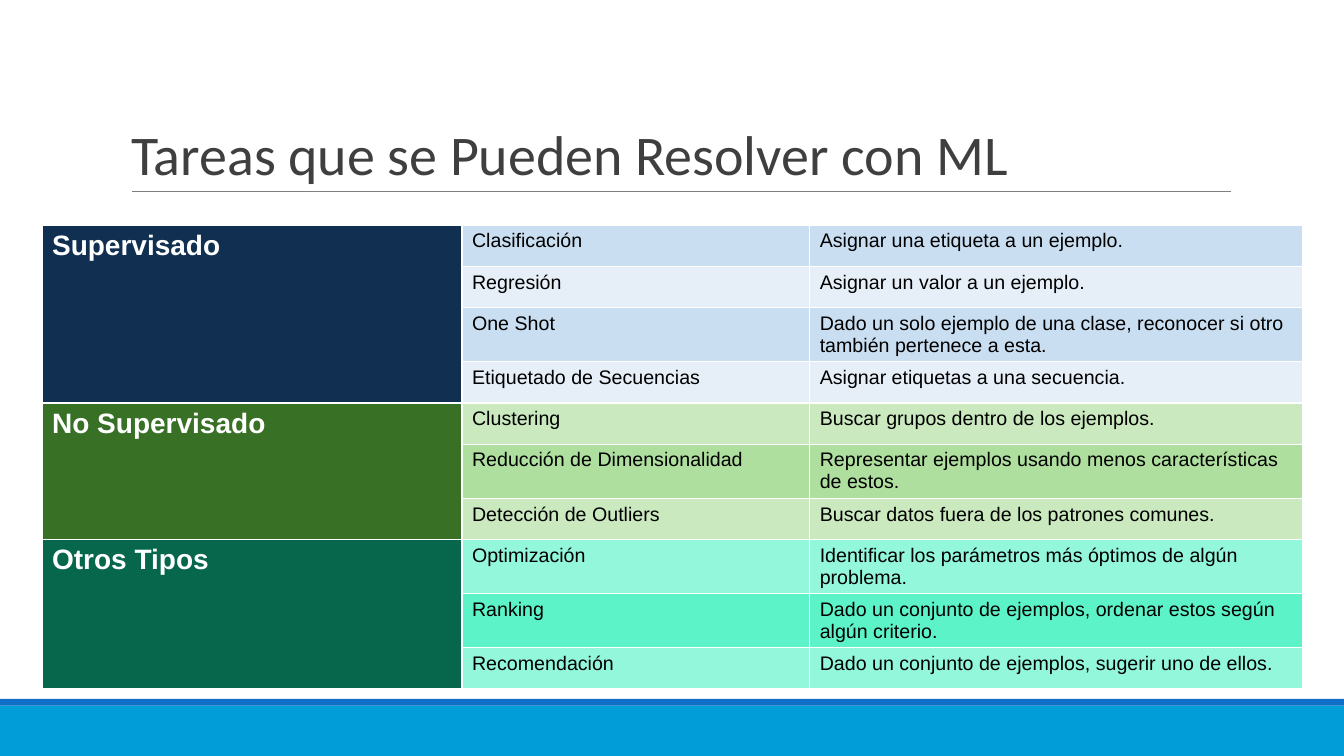
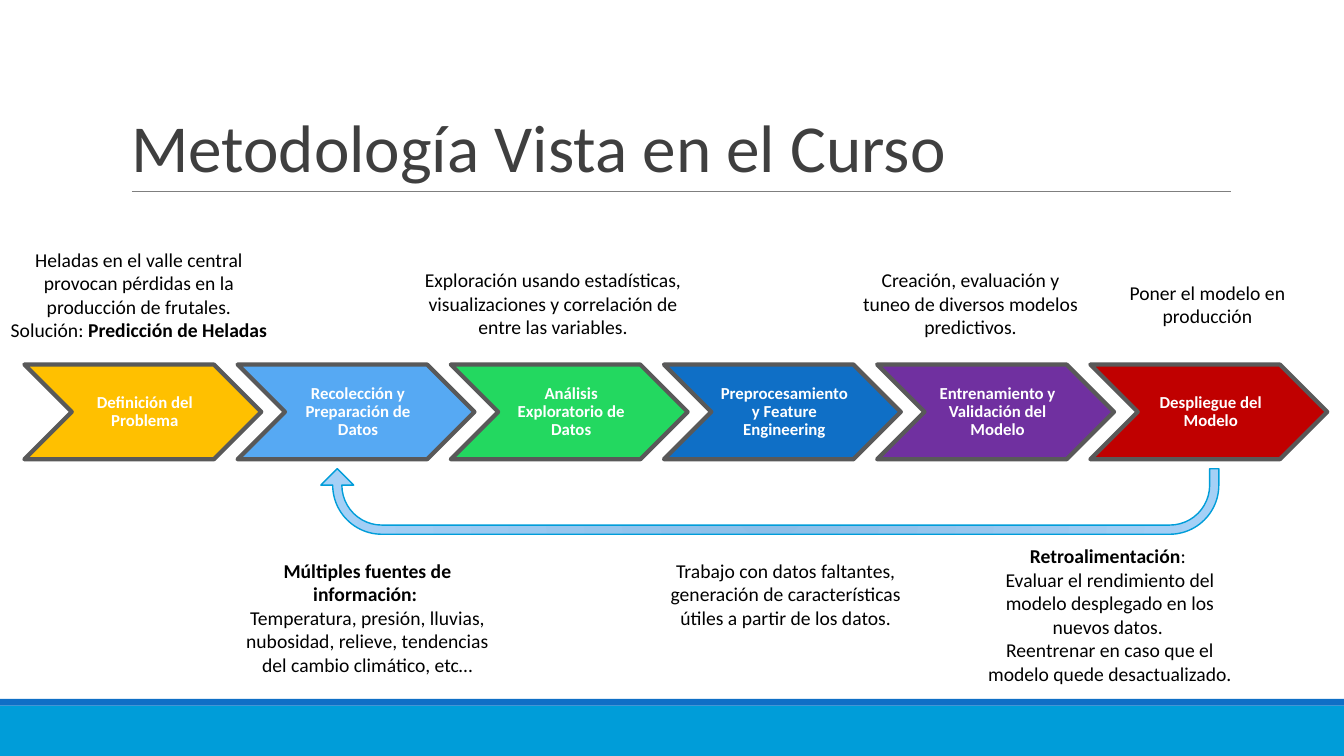
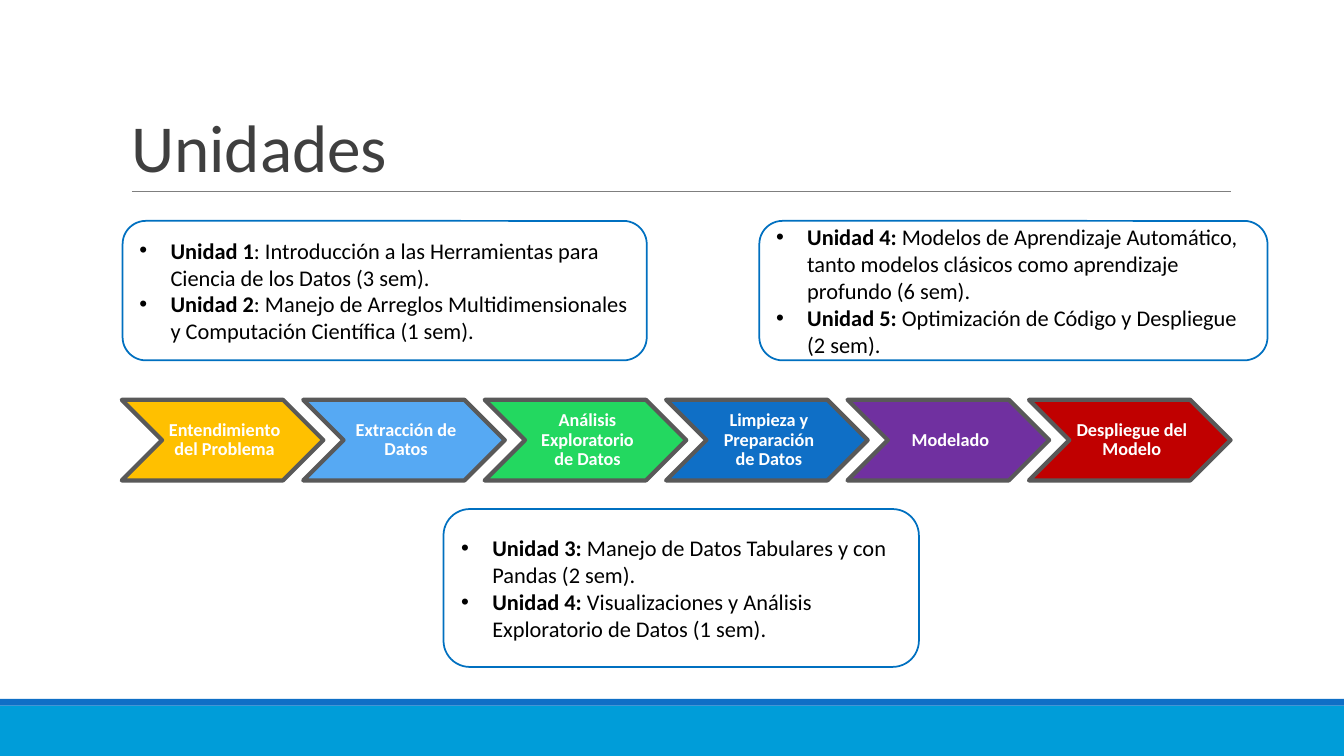
import pptx
import pptx.dml.color
import pptx.enum.shapes
import pptx.enum.text
import pptx.oxml.ns
import pptx.util
from lxml import etree

SHAPES = pptx.enum.shapes.MSO_SHAPE
ANCHOR = pptx.enum.text.MSO_ANCHOR
ALIGN = pptx.enum.text.PP_ALIGN
qn = pptx.oxml.ns.qn

SLIDE_WIDTH = pptx.util.Inches(13.333)
SLIDE_HEIGHT = pptx.util.Inches(7.5)
COLUMNS, ROWS = 16, 9

BLACK, WHITE = "000000", "FFFFFF"
SKY, BLUE = "009DD9", "0F6FC6"
TITLE_GREY, RULE_GREY, OUTLINE_GREY = "3F3F3F", "7F7F7F", "595959"
FRAME_BLUE = "0070C0"
STEP_COLORS = ["FFC000", "56A9F3", "23D860", BLUE, "7030A0", "C00000"]
CHEVRON_STEP, CHEVRON_RATIO = 0.9, 0.4

TASKS = [
    ("Supervisado", "113051", ["CADEF1", "E6EFF8"], [
        ("Clasificación", "Asignar una etiqueta a un ejemplo."),
        ("Regresión", "Asignar un valor a un ejemplo."),
        ("One Shot", "Dado un solo ejemplo de una clase, reconocer si otro también pertenece a esta."),
        ("Etiquetado de Secuencias", "Asignar etiquetas a una secuencia."),
    ]),
    ("No Supervisado", "387025", ["CAE9BF", "AFDF9F"], [
        ("Clustering", "Buscar grupos dentro de los ejemplos."),
        ("Reducción de Dimensionalidad", "Representar ejemplos usando menos características de estos."),
        ("Detección de Outliers", "Buscar datos fuera de los patrones comunes."),
    ]),
    ("Otros Tipos", "07674D", ["92F7DB", "5DF3C9"], [
        ("Optimización", "Identificar los parámetros más óptimos de algún problema."),
        ("Ranking", "Dado un conjunto de ejemplos, ordenar estos según algún criterio."),
        ("Recomendación", "Dado un conjunto de ejemplos, sugerir uno de ellos."),
    ]),
]

METHOD_STEPS = [
    "Definición del Problema",
    "Recolección y Preparación de Datos",
    "Análisis Exploratorio de Datos",
    "Preprocesamiento y Feature Engineering",
    "Entrenamiento y Validación del Modelo",
    "Despliegue del Modelo",
]

METHOD_NOTES = [
    ((0, 2.89, 3.31, 1.25), [
        [("Heladas en el valle central provocan pérdidas en la producción de frutales.", False)],
        [("Solución: ", False), ("Predicción de Heladas", True)]]),
    ((2.72, 6.59, 3.31, 1.54), [
        [("Múltiples fuentes de información: ", True)],
        [("Temperatura, presión, lluvias, nubosidad, relieve, tendencias del cambio climático, etc…", False)]]),
    ((4.93, 3.13, 3.31, 0.97), [
        [("Exploración usando estadísticas, visualizaciones y correlación de entre las variables.", False)]]),
    ((7.7, 6.59, 3.31, 0.97), [
        [("Trabajo con datos faltantes, generación de características útiles a partir de los datos.", False)]]),
    ((13.03, 3.28, 2.69, 0.68), [[("Poner el modelo en producción", False)]]),
    ((10.08, 3.13, 2.95, 0.97), [
        [("Creación, evaluación y tuneo de diversos modelos predictivos.", False)]]),
    ((11.56, 6.42, 3.31, 1.82), [
        [("Retroalimentación", True), (": ", False)],
        [("Evaluar el rendimiento del modelo desplegado en los nuevos datos. ", False)],
        [("Reentrenar en caso que el modelo quede desactualizado.", False)]]),
]

UNIT_STEPS = [
    "Entendimiento del Problema",
    "Extracción de Datos",
    "Análisis Exploratorio de Datos",
    "Limpieza y Preparación de Datos",
    "Modelado",
    "Despliegue del Modelo",
]

UNIT_CARDS = [
    ((9.04, 2.63, 6.05, 1.66), [
        [("Unidad 4: ", True),
         ("Modelos de Aprendizaje Automático, tanto modelos clásicos como aprendizaje profundo (6 sem).", False)],
        [("Unidad 5:", True), (" Optimización de Código y Despliegue (2 sem).", False)]]),
    ((5.28, 6.06, 5.66, 1.88), [
        [("Unidad 3:", True), (" Manejo de Datos Tabulares y con Pandas (2 sem).", False)],
        [("Unidad 4:", True), (" Visualizaciones y Análisis Exploratorio de Datos (1 sem).", False)]]),
    ((1.46, 2.63, 6.24, 1.66), [
        [("Unidad 1", True),
         (": Introducción a las Herramientas para Ciencia de los Datos (3 sem).", False)],
        [("Unidad 2", True),
         (": Manejo de Arreglos Multidimensionales y Computación Científica (1 sem).", False)]]),
]


def color(value):
    return pptx.dml.color.RGBColor.from_string(value)


def across(columns):
    return round(SLIDE_WIDTH * columns / COLUMNS)


def down(rows):
    return round(SLIDE_HEIGHT * rows / ROWS)


def place(box):
    left, top, width, height = box
    return across(left), down(top), across(width), down(height)


def style_font(font, size, text_color, bold=False, name="Calibri"):
    font.name = name
    font.size = pptx.util.Pt(size)
    font.bold = bold
    font.color.rgb = color(text_color)


def add_shape(slide, kind, box, fill=None, line=None, line_width=1):
    shape = slide.shapes.add_shape(kind, *place(box))
    shape.shadow.inherit = False
    if fill:
        shape.fill.solid()
        shape.fill.fore_color.rgb = color(fill)
    else:
        shape.fill.background()
    if line:
        shape.line.color.rgb = color(line)
        shape.line.width = pptx.util.Pt(line_width)
    else:
        shape.line.fill.background()
    return shape


def add_bullet(paragraph):
    properties = paragraph._p.get_or_add_pPr()
    indent = pptx.util.Inches(0.31)
    properties.set("marL", str(indent))
    properties.set("indent", str(-indent))
    bullet_color = etree.SubElement(properties, qn("a:buClr"))
    etree.SubElement(bullet_color, qn("a:srgbClr"), val=BLACK)
    etree.SubElement(properties, qn("a:buFont"), typeface="Arial")
    etree.SubElement(properties, qn("a:buChar"), char="•")


def write_paragraphs(text_frame, paragraphs, size, alignment, bulleted=False):
    text_frame.word_wrap = True
    for index, pieces in enumerate(paragraphs):
        paragraph = text_frame.add_paragraph() if index else text_frame.paragraphs[0]
        if bulleted:
            add_bullet(paragraph)
        paragraph.alignment = alignment
        for text, bold in pieces:
            run = paragraph.add_run()
            run.text = text
            style_font(run.font, size, BLACK, bold)


def add_titled_slide(presentation, title, size=48):
    slide = presentation.slides.add_slide(presentation.slide_layouts[5])
    add_shape(slide, SHAPES.RECTANGLE, (0, 8.4, COLUMNS, 0.6), SKY)
    add_shape(slide, SHAPES.RECTANGLE, (0, 8.32, COLUMNS, 0.08), BLUE)
    rule = slide.shapes.add_connector(
        pptx.enum.shapes.MSO_CONNECTOR.STRAIGHT,
        across(1.57), down(2.28), across(14.65), down(2.28))
    rule.line.color.rgb = color(RULE_GREY)
    rule.line.width = pptx.util.Pt(0.75)
    etree.SubElement(rule.element.spPr, qn("a:effectLst"))
    shape = slide.shapes.title
    shape.left, shape.top, shape.width, shape.height = place((1.44, 0.37, 13.2, 1.91))
    text_frame = shape.text_frame
    text_frame.text = title
    text_frame.word_wrap = True
    text_frame.auto_size = pptx.enum.text.MSO_AUTO_SIZE.NONE
    text_frame.vertical_anchor = ANCHOR.BOTTOM
    paragraph = text_frame.paragraphs[0]
    paragraph.alignment = ALIGN.LEFT
    paragraph.line_spacing = 0.85
    style_font(paragraph.runs[0].font, size, TITLE_GREY)
    return slide


def fill_cell(cell, text, fill, size=14, text_color=BLACK, bold=False):
    cell.fill.solid()
    cell.fill.fore_color.rgb = color(fill)
    cell.text = text
    style_font(cell.text_frame.paragraphs[0].runs[0].font, size, text_color, bold, "Arial")


def add_task_table(slide):
    widths, row_height = [5, 4.14, 5.87], 0.49
    row_count = sum(len(tasks) for _, _, _, tasks in TASKS)
    box = (0.5, 2.68, sum(widths), row_height * row_count)
    table = slide.shapes.add_table(row_count, len(widths), *place(box)).table
    table.first_row = False
    table.horz_banding = False
    for column, width in zip(table.columns, widths):
        column.width = across(width)
    row = 0
    for group, group_fill, fills, tasks in TASKS:
        heading = table.cell(row, 0)
        heading.merge(table.cell(row + len(tasks) - 1, 0))
        fill_cell(heading, group, group_fill, 20, WHITE, True)
        for index, texts in enumerate(tasks):
            for column, text in enumerate(texts, 1):
                fill_cell(table.cell(row, column), text, fills[index % 2])
            row += 1


def add_chevrons(slide, steps, left, top, width, size):
    for index, (text, fill) in enumerate(zip(steps, STEP_COLORS)):
        box = (left + index * width * CHEVRON_STEP, top, width, width * CHEVRON_RATIO)
        chevron = add_shape(slide, SHAPES.CHEVRON, box, fill, OUTLINE_GREY, 3)
        text_frame = chevron.text_frame
        text_frame.text = text
        text_frame.word_wrap = True
        text_frame.vertical_anchor = ANCHOR.MIDDLE
        text_frame.margin_left = pptx.util.Inches(0.06)
        text_frame.margin_top = text_frame.margin_right = text_frame.margin_bottom = pptx.util.Inches(0.02)
        paragraph = text_frame.paragraphs[0]
        paragraph.alignment = ALIGN.CENTER
        paragraph.line_spacing = 0.9
        style_font(paragraph.runs[0].font, size, WHITE, True)


def add_feedback_arrow(slide):
    arrow = add_shape(slide, SHAPES.U_TURN_ARROW, (3.82, 5.58, 10.69, 0.78), line=SKY)
    arrow.rotation = 180
    for index, value in enumerate([0.14, 0.25, 0.25, 0.75, 1]):
        arrow.adjustments[index] = value
    arrow.fill.gradient()
    for stop, value in zip(arrow.fill.gradient_stops, ["8DBEE8", "A5D0F6"]):
        stop.color.rgb = color(value)
    gradient = arrow.element.spPr.find(qn("a:gradFill"))
    gradient.remove(gradient.find(qn("a:lin")))
    circle = etree.SubElement(gradient, qn("a:path"), path="circle")
    etree.SubElement(circle, qn("a:fillToRect"), l="50000", t="50000", r="50000", b="50000")


def add_note(slide, box, paragraphs):
    note = slide.shapes.add_textbox(*place(box))
    write_paragraphs(note.text_frame, paragraphs, 14, ALIGN.CENTER)


def add_unit_card(slide, box, paragraphs):
    card = add_shape(slide, SHAPES.ROUNDED_RECTANGLE, box, line=FRAME_BLUE, line_width=1.25)
    card.text_frame.vertical_anchor = ANCHOR.MIDDLE
    write_paragraphs(card.text_frame, paragraphs, 16, ALIGN.LEFT, bulleted=True)


def main():
    presentation = pptx.Presentation()
    presentation.slide_width = SLIDE_WIDTH
    presentation.slide_height = SLIDE_HEIGHT

    tasks_slide = add_titled_slide(presentation, "Tareas que se Pueden Resolver con ML", 40)
    add_task_table(tasks_slide)

    method_slide = add_titled_slide(presentation, "Metodología Vista en el Curso")
    add_chevrons(method_slide, METHOD_STEPS, 0.29, 4.34, 2.82, 12)
    add_feedback_arrow(method_slide)
    for box, paragraphs in METHOD_NOTES:
        add_note(method_slide, box, paragraphs)

    units_slide = add_titled_slide(presentation, "Unidades")
    add_chevrons(units_slide, UNIT_STEPS, 1.45, 4.76, 2.4, 13)
    for box, paragraphs in UNIT_CARDS:
        add_unit_card(units_slide, box, paragraphs)

    presentation.save("out.pptx")


if __name__ == "__main__":
    main()
